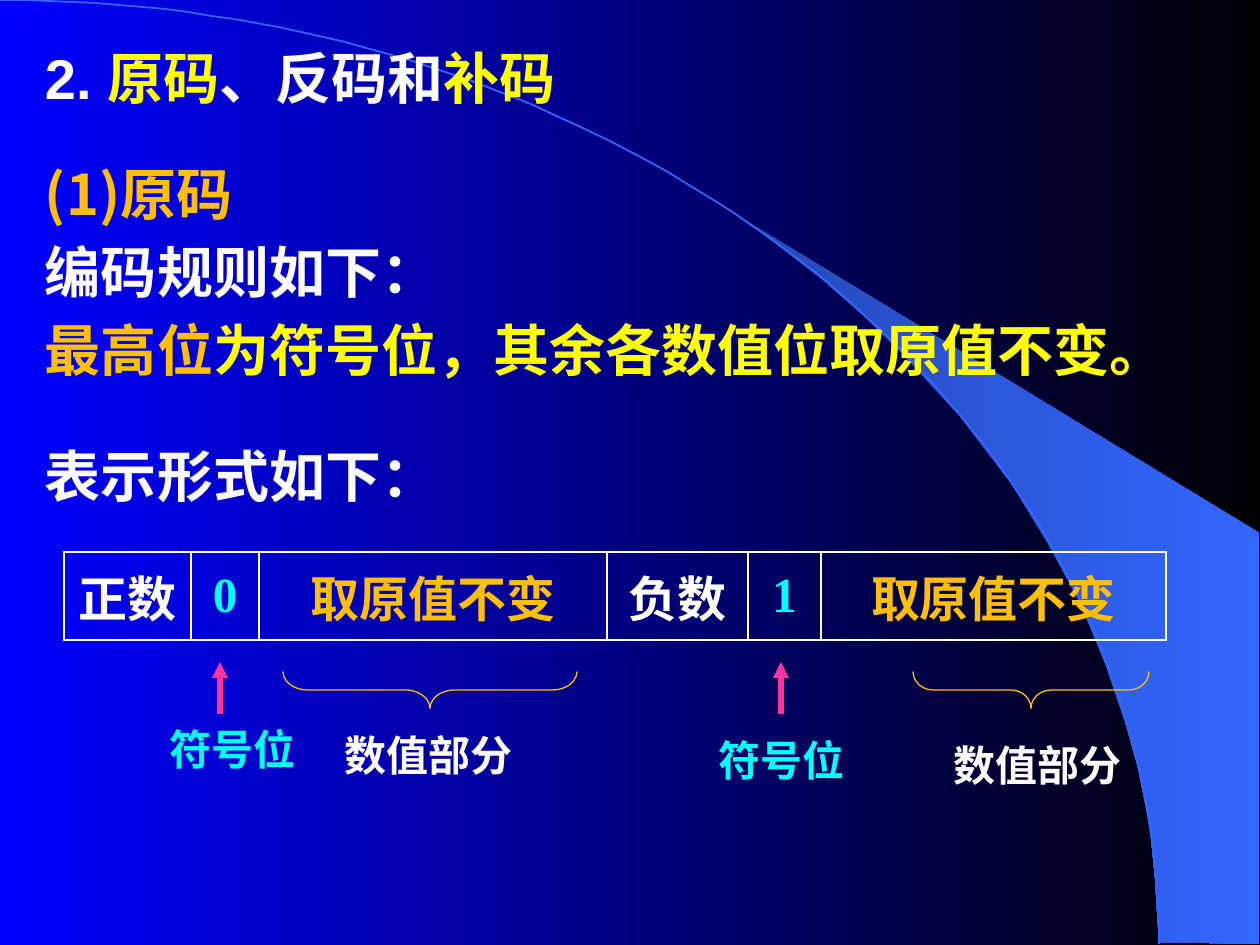
from dataclasses import dataclass

from pptx import Presentation
from pptx.dml.color import RGBColor
from pptx.enum.shapes import MSO_CONNECTOR as Connector, MSO_SHAPE as Shape
from pptx.enum.text import MSO_ANCHOR as Anchor, PP_ALIGN as Align
from pptx.oxml.xmlchemy import OxmlElement
from pptx.util import Pt

SCALE = 914400 / 126  # EMU per px


@dataclass(frozen=True)
class Theme:
    white: str = "FDFBFB"
    grid: str = "FFFFFF"
    yellow: str = "FFFF00"
    orange: str = "FFBF09"
    amber: str = "FFC000"
    cyan: str = "00FFFF"
    pink: str = "FF3399"
    blue: str = "3366FF"
    band: str = "2449B6"
    night: tuple = ("0000FF", "000000")
    heading: int = 32
    cell: int = 28
    label: int = 24
    serif: str = "Times New Roman"
    sans: str = "Arial"
    cjk: str = "Noto Sans CJK SC"


THEME = Theme()

# Swoosh outline, from the bottom left round to the end of its inner curve
BAND = [(1159, 942), (1259, 944), (1259, 533), (742, 218), (786, 251),
        (823, 280), (863, 315), (902, 353), (960, 416), (1012, 484),
        (1048, 543), (1081, 604), (1106, 665), (1125, 721), (1138, 767),
        (1150, 827), (1155, 877)]


def px(value):
    return round(value * SCALE)


def color(value):
    return RGBColor.from_string(value)


def paint_gradient(fill, colors):
    fill.gradient()
    fill.gradient_angle = 0
    for stop, value, position in zip(fill.gradient_stops, colors, (0, 1)):
        stop.color.rgb = color(value)
        stop.position = position


def write_text(paragraph, runs, size, font=THEME.serif, align=Align.LEFT,
               line=None, before=0):
    """Runs are (text, color) or (text, color, font)."""
    paragraph.alignment = align
    if line:
        paragraph.line_spacing = Pt(line)
    if before:
        paragraph.space_before = Pt(before)
    for text, value, *own_font in runs:
        run = paragraph.add_run()
        run.text = text
        run.font.size = Pt(size)
        run.font.bold = True
        run.font.color.rgb = color(value)
        run.font.name = own_font[0] if own_font else font
        east_asian = OxmlElement("a:ea")
        east_asian.set("typeface", THEME.cjk)
        run.font._element.append(east_asian)


def add_text_box(slide, box, insets, anchor=Anchor.TOP):
    frame = slide.shapes.add_textbox(*map(px, box)).text_frame
    frame.word_wrap = True
    frame.vertical_anchor = anchor
    frame.margin_left = frame.margin_right = px(insets[0])
    frame.margin_top = frame.margin_bottom = px(insets[1])
    return frame


def add_outline(slide, points, close):
    builder = slide.shapes.build_freeform(*points[0], scale=SCALE)
    builder.add_line_segments(points[1:], close=close)
    shape = builder.convert_to_shape()
    shape.shadow.inherit = False
    return shape


def add_backdrop(slide):
    paint_gradient(slide.background.fill, THEME.night)
    band = add_outline(slide, BAND, True)
    paint_gradient(band.fill, (THEME.band, THEME.blue))
    band.line.fill.background()

    # Quarter ellipse as a cubic curve from the top left to the bottom right
    steps = 80
    curve = []
    for step in range(steps + 1):
        t = step / steps
        u = 1 - t
        curve.append((3 * u * u * t * 640 + (3 * u * t * t + t ** 3) * 1159,
                      3 * u * t * t * 422 + t ** 3 * 944))
    arc = add_outline(slide, curve, False)
    arc.fill.background()
    arc.line.color.rgb = color(THEME.blue)
    arc.line.width = Pt(1)


def border_cell(cell):
    properties = cell._tc.get_or_add_tcPr()
    for side in ("a:lnL", "a:lnR", "a:lnT", "a:lnB"):
        line = OxmlElement(side)
        line.set("w", str(Pt(1)))
        fill = OxmlElement("a:solidFill")
        value = OxmlElement("a:srgbClr")
        value.set("val", THEME.grid)
        fill.append(value)
        line.append(fill)
        properties.append(line)


def add_code_table(slide, left, top, height, columns):
    """Columns are (width, text, color)."""
    width = sum(column[0] for column in columns)
    table = slide.shapes.add_table(1, len(columns), px(left), px(top),
                                   px(width), px(height)).table
    table.first_row = table.horz_banding = False
    for index, (column_width, text, value) in enumerate(columns):
        table.columns[index].width = px(column_width)
        cell = table.cell(0, index)
        border_cell(cell)
        cell.fill.background()
        cell.vertical_anchor = Anchor.MIDDLE
        write_text(cell.text_frame.paragraphs[0], [(text, value)],
                   THEME.cell, align=Align.CENTER)


def add_label(slide, left, top, width, text, value):
    frame = add_text_box(slide, (left, top, width, 68), (8, 1))
    write_text(frame.paragraphs[0], [(text, value)], THEME.label,
               align=Align.CENTER, line=31)


def add_brace(slide, center, width, curl):
    """A left brace turned to open upwards, under the table."""
    depth, middle = 37, 690
    brace = slide.shapes.add_shape(
        Shape.LEFT_BRACE, px(center - depth / 2), px(middle - width / 2),
        px(depth), px(width))
    brace.rotation = 270
    brace.adjustments[0] = curl
    brace.shadow.inherit = False
    brace.fill.background()
    brace.line.color.rgb = color(THEME.orange)
    brace.line.width = Pt(0.75)


def add_up_arrow(slide, x):
    arrow = slide.shapes.add_connector(Connector.STRAIGHT, px(x), px(714),
                                       px(x), px(662))
    arrow.line.color.rgb = color(THEME.pink)
    arrow.line.width = Pt(3)
    head = OxmlElement("a:tailEnd")
    head.set("type", "triangle")
    arrow.line._get_or_add_ln().append(head)
    arrow._element.spPr.append(OxmlElement("a:effectLst"))


def main():
    presentation = Presentation()
    presentation.slide_width = px(1260)
    presentation.slide_height = px(945)
    slide = presentation.slides.add_slide(presentation.slide_layouts[6])
    add_backdrop(slide)

    # Title
    title = add_text_box(slide, (32, 32, 1071, 91), (13, 6), Anchor.MIDDLE)
    write_text(title.paragraphs[0],
               [("2. ", THEME.white), ("原码", THEME.yellow),
                ("、反码和", THEME.white), ("补码", THEME.yellow)],
               THEME.heading, font=THEME.sans, line=38)

    # Coding rules: (space before, runs)
    rules = [
        (0, [("(1)原码", THEME.orange, THEME.cjk)]),
        (6.5, [("编码规则如下：", THEME.white)]),
        (6.5, [("最高位", THEME.amber),
               ("为符号位，其余各数值位取原值不变。", THEME.yellow)]),
        (34.5, [("表示形式如下：", THEME.white)]),
    ]
    body = add_text_box(slide, (32, 147, 1228, 375), (13, 13))
    for index, (before, runs) in enumerate(rules):
        paragraph = body.add_paragraph() if index else body.paragraphs[0]
        write_text(paragraph, runs, THEME.heading, line=38, before=before)

    # Layout of positive and negative numbers
    add_code_table(slide, 64, 552, 88, [
        (127, "正数", THEME.grid), (68, "0", THEME.cyan),
        (348, "取原值不变", THEME.orange),
        (141, "负数", THEME.grid), (73, "1", THEME.cyan),
        (345, "取原值不变", THEME.orange)])

    # Sign and value marks below the table
    for left, top in ((707, 730), (158, 719)):
        add_label(slide, left, top, 149, "符号位", THEME.cyan)
    for left, top in ((945, 735), (336, 725)):
        add_label(slide, left, top, 186, "数值部分", THEME.white)
    for center, width, curl in ((430, 294, 0.67), (1031, 236, 0.54)):
        add_brace(slide, center, width, curl)
    for x in (220, 781):
        add_up_arrow(slide, x)

    presentation.save("out.pptx")


if __name__ == "__main__":
    main()
